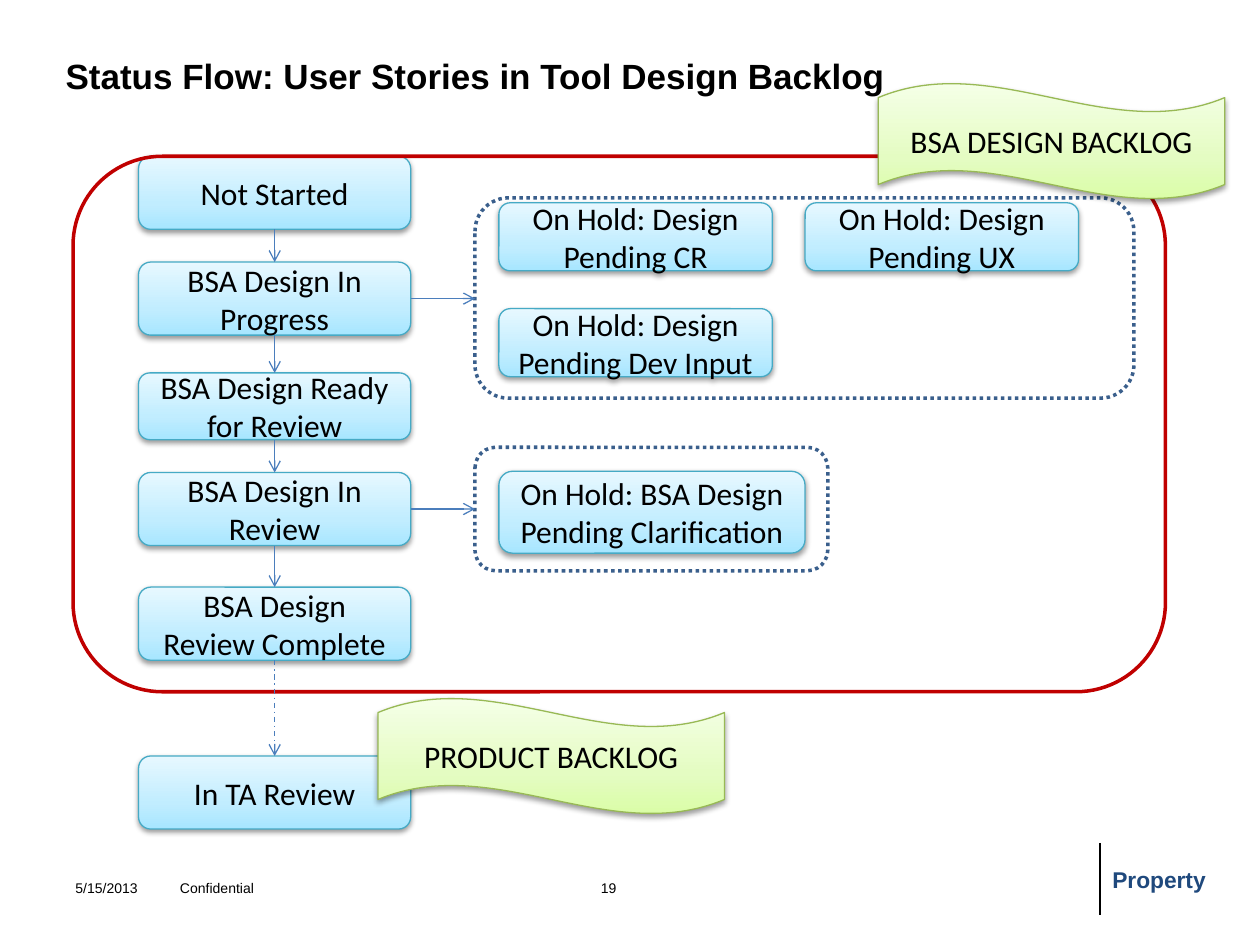
from copy import deepcopy

from lxml.etree import SubElement
from pptx import Presentation
from pptx.dml.color import RGBColor
from pptx.enum.dml import MSO_LINE
from pptx.enum.shapes import MSO_CONNECTOR, MSO_SHAPE
from pptx.enum.text import MSO_ANCHOR, PP_ALIGN
from pptx.oxml.ns import qn
from pptx.util import Inches, Pt

color = RGBColor.from_string

BLUE = ("A7E6FF", "C1EDFF", "E7F8FF")
GREEN = ("DAFDA7", "E4FCC2", "F5FFE7")


def add_step(kind, text, left, top, width, height, gradient, outline):
    shape = slide.shapes.add_shape(kind, Inches(left), Inches(top), Inches(width), Inches(height))
    shape.fill.gradient()
    shape.fill.gradient_angle = 90
    stop_list = shape._element.spPr.find(qn("a:gradFill")).find(qn("a:gsLst"))
    middle_stop = deepcopy(stop_list[0])
    middle_stop.set("pos", "35000")
    stop_list.insert(1, middle_stop)
    for stop, stop_color in zip(shape.fill.gradient_stops, gradient):
        stop.color.rgb = color(stop_color)
    shape.line.color.rgb = color(outline)
    shape.line.width = Pt(0.75)

    shape.shadow.inherit = False
    effects = shape._element.spPr.find(qn("a:effectLst"))
    shadow = SubElement(effects, qn("a:outerShdw"), blurRad="40000", dist="20000",
                        dir="5400000", rotWithShape="0")
    shadow_color = SubElement(shadow, qn("a:srgbClr"), val="000000")
    SubElement(shadow_color, qn("a:alpha"), val="38000")

    shape.text_frame.text = text
    shape.text_frame.word_wrap = True
    shape.text_frame.vertical_anchor = MSO_ANCHOR.MIDDLE
    paragraph = shape.text_frame.paragraphs[0]
    paragraph.alignment = PP_ALIGN.CENTER
    font = paragraph.runs[0].font
    font.name = "Calibri"
    font.size = Pt(18)
    font.color.rgb = color("000000")


def add_line(start_x, start_y, end_x, end_y, line_color, arrow=True, dash=None):
    connector = slide.shapes.add_connector(
        MSO_CONNECTOR.STRAIGHT, Inches(start_x), Inches(start_y), Inches(end_x), Inches(end_y))
    connector.line.color.rgb = color(line_color)
    connector.line.width = Pt(0.75)
    if dash:
        connector.line.dash_style = dash
    if arrow:
        SubElement(connector.line._get_or_add_ln(), qn("a:tailEnd"), type="arrow")
    SubElement(connector._element.spPr, qn("a:effectLst"))


presentation = Presentation()
presentation.slide_width = Inches(10)
presentation.slide_height = Inches(7.5)
slide = presentation.slides.add_slide(presentation.slide_layouts[5])

title = slide.shapes.title
title.left, title.top, title.width, title.height = Inches(0.42), Inches(0.33), Inches(9), Inches(0.49)
title.text_frame.text = "Status Flow: User Stories in Tool Design Backlog"
title.text_frame.word_wrap = True
title.text_frame.vertical_anchor = MSO_ANCHOR.BOTTOM
title_paragraph = title.text_frame.paragraphs[0]
title_paragraph.alignment = PP_ALIGN.LEFT
title_font = title_paragraph.runs[0].font
title_font.name = "Arial"
title_font.size = Pt(20)
title_font.bold = True
title_font.color.rgb = color("000000")

footers = [
    ("5/15/2013", 0.5, 6.93, 2.33, 0.4, 8, "000000"),
    ("Confidential", 1.33, 6.93, 3.17, 0.4, 8, "000000"),
    ("19", 4.67, 6.93, 3.17, 0.4, 8, "000000"),
    ("Property", 8.73, 6.82, 1.05, 0.32, 13, "1F497D"),
]
for text, left, top, width, height, size, text_color in footers:
    text_box = slide.shapes.add_textbox(Inches(left), Inches(top), Inches(width), Inches(height))
    text_box.text_frame.text = text
    text_box.text_frame.word_wrap = True
    font = text_box.text_frame.paragraphs[0].runs[0].font
    font.name = "Arial"
    font.size = Pt(size)
    font.bold = text == "Property"
    font.color.rgb = color(text_color)
add_line(8.73, 6.69, 8.73, 7.26, "000000", arrow=False)

step_left, step_width = 1.1, 2.16
steps = [
    ("Not Started", 1.24, 0.58),
    ("BSA Design In Progress", 2.08, 0.58),
    ("BSA Design Ready for Review", 2.96, 0.53),
    ("BSA Design In Review", 3.75, 0.58),
    ("BSA Design Review Complete", 4.66, 0.58),
    ("In TA Review", 6, 0.58),
]
for text, top, height in steps:
    add_step(MSO_SHAPE.ROUNDED_RECTANGLE, text, step_left, top, step_width, height, BLUE, "46AAC5")

holds = [
    ("On Hold: Design Pending CR", 3.96, 1.61, 2.17, 0.54),
    ("On Hold: Design Pending UX", 6.39, 1.61, 2.17, 0.54),
    ("On Hold: Design Pending Dev Input", 3.96, 2.45, 2.17, 0.54),
    ("On Hold: BSA Design Pending Clarification", 3.96, 3.74, 2.43, 0.65),
]
for hold in holds:
    add_step(MSO_SHAPE.ROUNDED_RECTANGLE, *hold, BLUE, "46AAC5")

frames = [
    (3.77, 1.57, 5.23, 1.59, "3A5F8C", MSO_LINE.ROUND_DOT),
    (3.77, 3.55, 2.8, 0.98, "3A5F8C", MSO_LINE.ROUND_DOT),
    (0.58, 1.24, 8.67, 4.25, "C00000", MSO_LINE.SOLID),
]
for left, top, width, height, outline, dash in frames:
    frame = slide.shapes.add_shape(
        MSO_SHAPE.ROUNDED_RECTANGLE, Inches(left), Inches(top), Inches(width), Inches(height))
    frame.fill.background()
    frame.line.color.rgb = color(outline)
    frame.line.width = Pt(2)
    frame.line.dash_style = dash
    frame.shadow.inherit = False

for text, left, top in [("BSA DESIGN BACKLOG", 6.97, 0.66), ("PRODUCT BACKLOG", 3, 5.54)]:
    add_step(MSO_SHAPE.WAVE, text, left, top, 2.75, 0.92, GREEN, "98B955")

step_center = step_left + step_width / 2
for (_, top, height), (next_text, next_top, _) in zip(steps, steps[1:]):
    dash = MSO_LINE.DASH_DOT if next_text == "In TA Review" else None
    add_line(step_center, top + height, step_center, next_top, "4B7EBC", dash=dash)
for hold_y in (2.37, 4.04):
    add_line(step_left + step_width, hold_y, 3.77, hold_y, "4B7EBC")

presentation.save("out.pptx")
